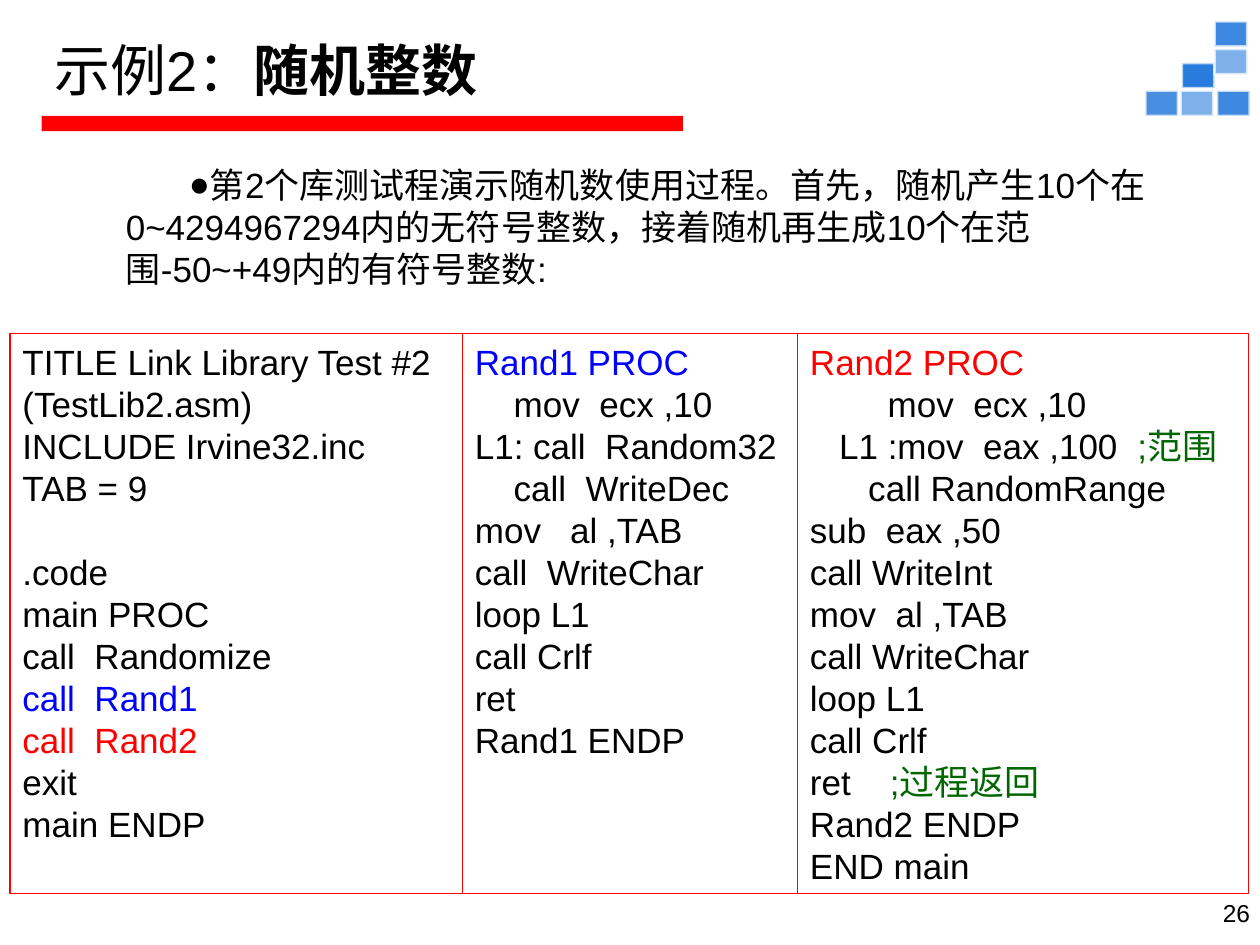
from lxml import etree
from pptx import Presentation
from pptx.dml.color import RGBColor
from pptx.enum.shapes import MSO_SHAPE
from pptx.enum.text import MSO_ANCHOR, MSO_AUTO_SIZE, PP_ALIGN
from pptx.oxml.ns import qn
from pptx.util import Inches, Pt

RECTANGLE = MSO_SHAPE.RECTANGLE
TOP, MIDDLE = MSO_ANCHOR.TOP, MSO_ANCHOR.MIDDLE
LEFT, RIGHT = PP_ALIGN.LEFT, PP_ALIGN.RIGHT
NO_AUTOFIT = MSO_AUTO_SIZE.NONE

FONT = "Arial"
COLORS = {
    "black": "000000",
    "white": "FFFFFF",
    "red": "FF0000",
    "blue": "0000FF",
    "green": "006600",
    "block": "297CDD",
}

TITLE = [[("示例2：", "black", False), ("随机整数", "black", True)]]
INTRO = (
    "第2个库测试程演示随机数使用过程。首先，随机产生10个在0~4294967294内的无符号整数，"
    "接着随机再生成10个在范围-50~+49内的有符号整数:"
)
PAGE_NUMBER = "26"

MAIN_CODE = [
    "TITLE Link Library Test #2 (TestLib2.asm)",
    "INCLUDE Irvine32.inc",
    "TAB = 9",
    ".code",
    "main PROC",
    "call  Randomize",
    [("call  Rand1", "blue", False)],
    [("call  Rand2", "red", False)],
    "exit",
    "main ENDP",
]
RAND1_CODE = [
    [("Rand1 PROC", "blue", False)],
    "    mov  ecx ,10",
    "L1: call  Random32",
    "    call  WriteDec",
    "mov   al ,TAB",
    "call  WriteChar",
    "loop L1",
    "call Crlf",
    "ret",
    "Rand1 ENDP",
]
RAND2_CODE = [
    [("Rand2 PROC", "red", False)],
    "        mov  ecx ,10",
    [("   L1 :mov  eax ,100  ", "black", False), (";范围", "green", False)],
    "      call RandomRange",
    "sub  eax ,50",
    "call WriteInt",
    "mov  al ,TAB",
    "call WriteChar",
    "loop L1",
    "call Crlf",
    [("ret    ", "black", False), (";过程返回", "green", False)],
    "Rand2 ENDP",
    "END main",
]
CODE_TOP, CODE_HEIGHT = 2.65, 4.44
CODE_PANELS = [
    (0.08, 3.75, MAIN_CODE),
    (3.67, 2.92, RAND1_CODE),
    (6.33, 3.58, RAND2_CODE),
]

BLOCK_SIZE = (0.26, 0.2)
BLOCKS = [
    (9.66, 0.72, 90),
    (9.37, 0.72, 60),
    (9.09, 0.72, 85),
    (9.38, 0.5, 100),
    (9.64, 0.39, 60),
    (9.64, 0.17, 90),
]


def color(name):
    return RGBColor.from_string(COLORS[name])


def add_rectangle(page, place, fill, line=None, width=0.75):
    box = page.shapes.add_shape(RECTANGLE, *map(Inches, place))
    box.shadow.inherit = False
    box.fill.solid()
    box.fill.fore_color.rgb = color(fill)
    if line:
        box.line.color.rgb = color(line)
        box.line.width = Pt(width)
    else:
        box.line.fill.background()
    return box


def write(box, lines, size=20, align=LEFT, anchor=TOP, wrap=True, spacing=None):
    frame = box.text_frame
    frame.auto_size = NO_AUTOFIT
    frame.word_wrap = wrap
    frame.vertical_anchor = anchor
    for index, line in enumerate(lines):
        para = frame.paragraphs[0] if index == 0 else frame.add_paragraph()
        para.alignment = align
        if spacing:
            para.line_spacing = Pt(spacing)
        spans = [(line, "black", False)] if isinstance(line, str) else line
        for text, tone, bold in spans:
            span = para.add_run()
            span.text = text
            span.font.name = FONT
            span.font.size = Pt(size)
            span.font.bold = bold
            span.font.color.rgb = color(tone)
    return frame.paragraphs


def add_bullet(para, margin, indent):
    properties = para._p.get_or_add_pPr()
    properties.set("marL", str(Inches(margin)))
    properties.set("indent", str(Inches(indent)))
    tint = etree.SubElement(properties, qn("a:buClr"))
    etree.SubElement(tint, qn("a:srgbClr"), val=COLORS["black"])
    etree.SubElement(properties, qn("a:buFont"), typeface=FONT)
    etree.SubElement(properties, qn("a:buChar"), char="●")


def set_opacity(box, *percents):
    for tint, percent in zip(box._element.spPr.iter(qn("a:srgbClr")), percents):
        etree.SubElement(tint, qn("a:alpha"), val=str(percent * 1000))


def main():
    deck = Presentation()
    deck.slide_width, deck.slide_height = Inches(10), Inches(7.5)
    page = deck.slides.add_slide(deck.slide_layouts[5])

    for left, top, opacity in BLOCKS:
        block = add_rectangle(page, (left, top, *BLOCK_SIZE), "block", "white", 1.5)
        set_opacity(block, opacity, 70)
    add_rectangle(page, (0.33, 0.92, 5.09, 0.12), "red")

    title = page.shapes.title
    title.left, title.top, title.width, title.height = map(Inches, (0.33, 0.17, 8.33, 0.75))
    write(title, TITLE, size=32, anchor=MIDDLE)

    intro = page.shapes.add_textbox(*map(Inches, (0.67, 1.25, 8.92, 1.2)))
    add_bullet(write(intro, [INTRO], spacing=24)[0], 0.23, 0.5)

    for left, width, code in CODE_PANELS:
        panel = add_rectangle(page, (left, CODE_TOP, width, CODE_HEIGHT), "white", "red")
        for para in write(panel, code, spacing=24):
            if para.text == ".code":
                para.space_before = Pt(24)

    number = page.shapes.add_textbox(*map(Inches, (8.93, 7.08, 1.09, 0.34)))
    write(number, [PAGE_NUMBER], size=14, align=RIGHT)

    deck.save("out.pptx")


if __name__ == "__main__":
    main()
